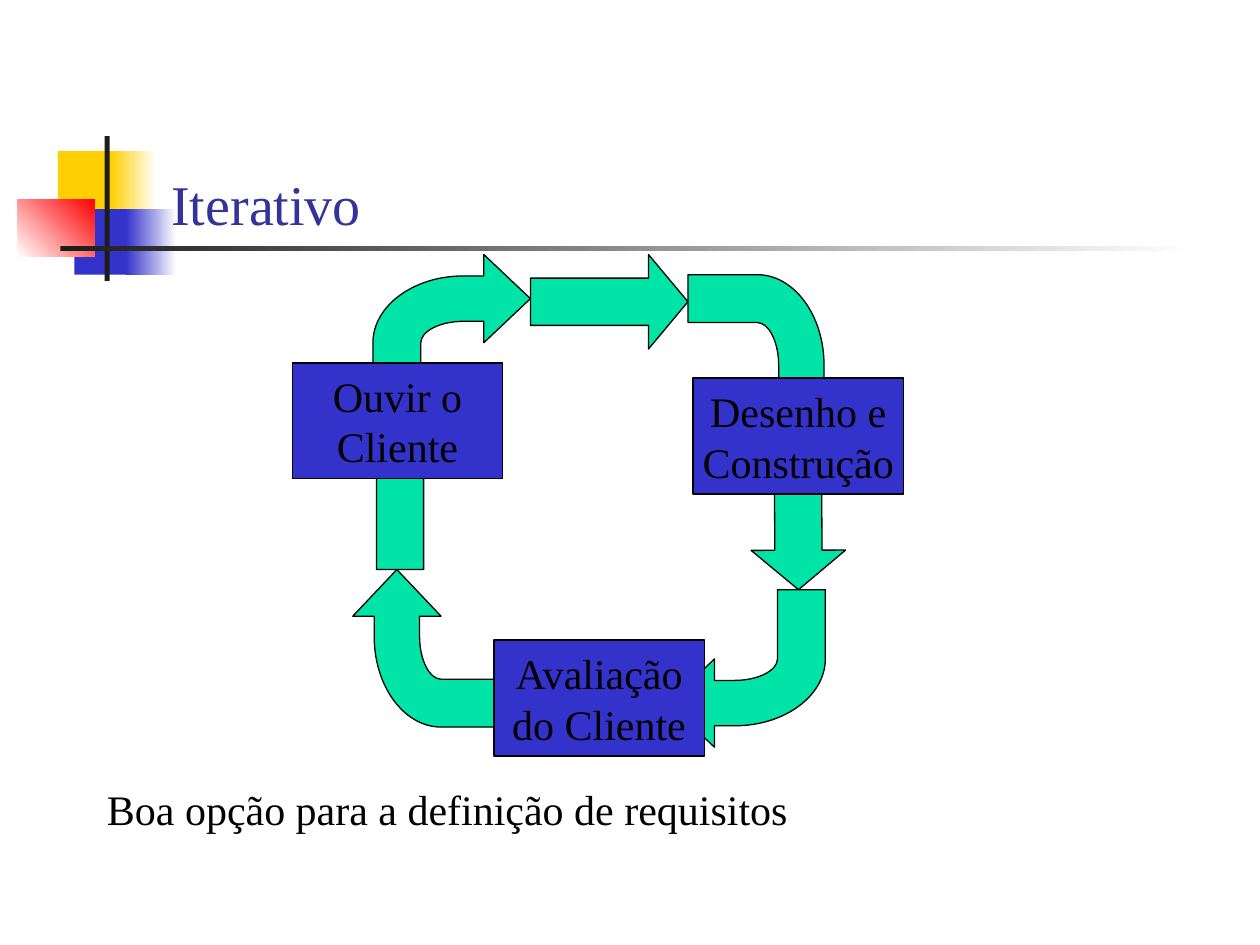
from pptx import Presentation
from pptx.dml.color import RGBColor
from pptx.enum.shapes import MSO_SHAPE as Preset
from pptx.enum.text import MSO_ANCHOR as Anchor, PP_ALIGN as Align
from pptx.oxml.ns import qn
from pptx.util import Inches, Pt

FONT = "Times New Roman"
YELLOW = RGBColor(0xFF, 0xCF, 0x01)
BLUE = RGBColor(0x33, 0x33, 0xCC)
RED = RGBColor(0xFF, 0x00, 0x00)
WHITE = RGBColor(0xFF, 0xFF, 0xFF)
DARK = RGBColor(0x1C, 0x1C, 0x1C)
TITLE_BLUE = RGBColor(0x33, 0x33, 0x99)
GREEN = RGBColor(0x00, 0xE4, 0xA8)
BLACK = RGBColor(0x00, 0x00, 0x00)

SIDE = 1.25     # length of every arrow in the cycle
HEAD = 0.75     # width of a straight arrow's head
# Corner arrow: each curve takes two control points and an end point
CORNER = [
    (1.25, 0.35), (0.88, 0), (0.88, 0.17), (0.72, 0.17),
    (0.32, 0.17), (0, 0.41), (0, 0.70),
    (0, 1.25), (0.38, 1.25), (0.38, 0.70),
    (0.38, 0.61), (0.53, 0.53), (0.72, 0.53),
    (0.88, 0.53), (0.88, 0.70),
]
CURVE_STARTS = (4, 10)


def add_preset(parent, preset, left, top, width, height):
    shape = parent.shapes.add_shape(
        preset, Inches(left), Inches(top), Inches(width), Inches(height))
    shape.shadow.inherit = False
    return shape


def paint(shape, color):
    shape.fill.solid()
    shape.fill.fore_color.rgb = color
    shape.line.color.rgb = BLACK
    shape.line.width = Pt(0.75)


def write(frame, lines, size, color, align=Align.LEFT):
    frame.text = "\n".join(lines)
    for paragraph in frame.paragraphs:
        paragraph.alignment = align
        font = paragraph.runs[0].font
        font.name, font.size, font.color.rgb = FONT, Pt(size), color


# Decoration on the layout: coloured squares and the two rules
def add_ornament(slide, left, top):
    parts = [  # x, y, width, height, colours, gradient angle
        (0.32, 0.12, 0.48, 0.52, [YELLOW], 0),
        (0.74, 0.12, 0.36, 0.52, [YELLOW, WHITE], 0),
        (0.45, 0.58, 0.46, 0.52, [BLUE], 0),
        (0.86, 0.58, 0.40, 0.52, [BLUE, WHITE], 0),
        (0.00, 0.50, 0.61, 0.46, [WHITE, RED], 45),
        (0.69, 0.00, 0.04, 1.15, [DARK], 0),
        (0.34, 0.87, 9.00, 0.04, [DARK, WHITE], 0),
    ]
    layout_tree = slide.slide_layout.shapes._spTree
    for number, (x, y, width, height, colors, angle) in enumerate(parts):
        block = add_preset(slide, Preset.RECTANGLE, left + x, top + y, width, height)
        block.line.fill.background()
        if len(colors) == 1:
            block.fill.solid()
            block.fill.fore_color.rgb = colors[0]
        else:
            block.fill.gradient()
            block.fill.gradient_angle = angle
            for stop, color in zip(block.fill.gradient_stops, colors):
                stop.color.rgb = color
        block._element.nvSpPr.cNvPr.set("id", str(20 + number))
        layout_tree.append(block._element)


def add_title(slide, left, top, width, height):
    title = slide.shapes.title
    title.left, title.top = Inches(left), Inches(top)
    title.width, title.height = Inches(width), Inches(height)
    write(title.text_frame, ["Iterativo"], 32, TITLE_BLUE)
    title.text_frame.vertical_anchor = Anchor.BOTTOM


def add_corner_arrow(group, left, top, turn):
    points = [(Inches(left + x), Inches(top + y)) for x, y in CORNER]
    builder = group.shapes.build_freeform(*points[0])
    builder.add_line_segments(points[1:], close=True)
    arrow = builder.convert_to_shape()
    arrow.shadow.inherit = False
    arrow.rotation = turn
    paint(arrow, GREEN)
    # Turn the control points into cubic curves
    outline = next(arrow._element.iter(qn("a:path")))
    segments = list(outline)
    for first in CURVE_STARTS:
        curve = outline.makeelement(qn("a:cubicBezTo"))
        segments[first].addprevious(curve)
        for segment in segments[first:first + 3]:
            curve.append(segment[0])
            outline.remove(segment)


def add_straight_arrow(group, left, top, turn):
    arrow = add_preset(group, Preset.RIGHT_ARROW, left, top, SIDE, HEAD)
    arrow.adjustments[0], arrow.adjustments[1] = 0.5, 0.417
    arrow.rotation = turn
    paint(arrow, GREEN)


def add_stage(slide, left, top, lines):
    stage = add_preset(slide, Preset.RECTANGLE, left, top, 1.67, 0.92)
    paint(stage, BLUE)
    frame = stage.text_frame
    frame.word_wrap = False
    frame.vertical_anchor = Anchor.MIDDLE
    write(frame, lines, 24, BLACK, Align.CENTER)


# Cycle: grouped arrows first, stages on top of them
def add_cycle(slide, left, top):
    arrows = slide.shapes.add_group_shape()
    for x, y, turn in [(0.64, 0, 0), (3.14, 0.16, 90), (0.48, 2.5, 270), (2.98, 2.66, 180)]:
        add_corner_arrow(arrows, left + x, top + y, turn)
    for x, y, turn in [(1.89, 0, 0), (3.39, 1.66, 89.8), (0.23, 1.5, 270)]:
        add_straight_arrow(arrows, left + x, top + y, turn)
    for x, y, lines in [
        (0, 0.86, ["Ouvir o", "Cliente"]),
        (3.18, 0.98, ["Desenho e", "Construção"]),
        (1.6, 3.06, ["Avaliação", "do Cliente"]),
    ]:
        add_stage(slide, left + x, top + y, lines)


def add_caption(slide, left, top, width, height):
    caption = slide.shapes.add_textbox(
        Inches(left), Inches(top), Inches(width), Inches(height))
    caption.text_frame.word_wrap = True
    write(caption.text_frame, ["Boa opção para a definição de requisitos"], 24, BLACK)


deck = Presentation()
deck.slide_width, deck.slide_height = Inches(10), Inches(7.5)
page = deck.slides.add_slide(deck.slide_layouts[5])
add_ornament(page, 0.14, 1.08)
add_title(page, 1.26, 0.68, 8.52, 1.25)
add_cycle(page, 2.32, 2.02)
add_caption(page, 0.75, 6.17, 5.68, 0.5)
deck.save("out.pptx")
